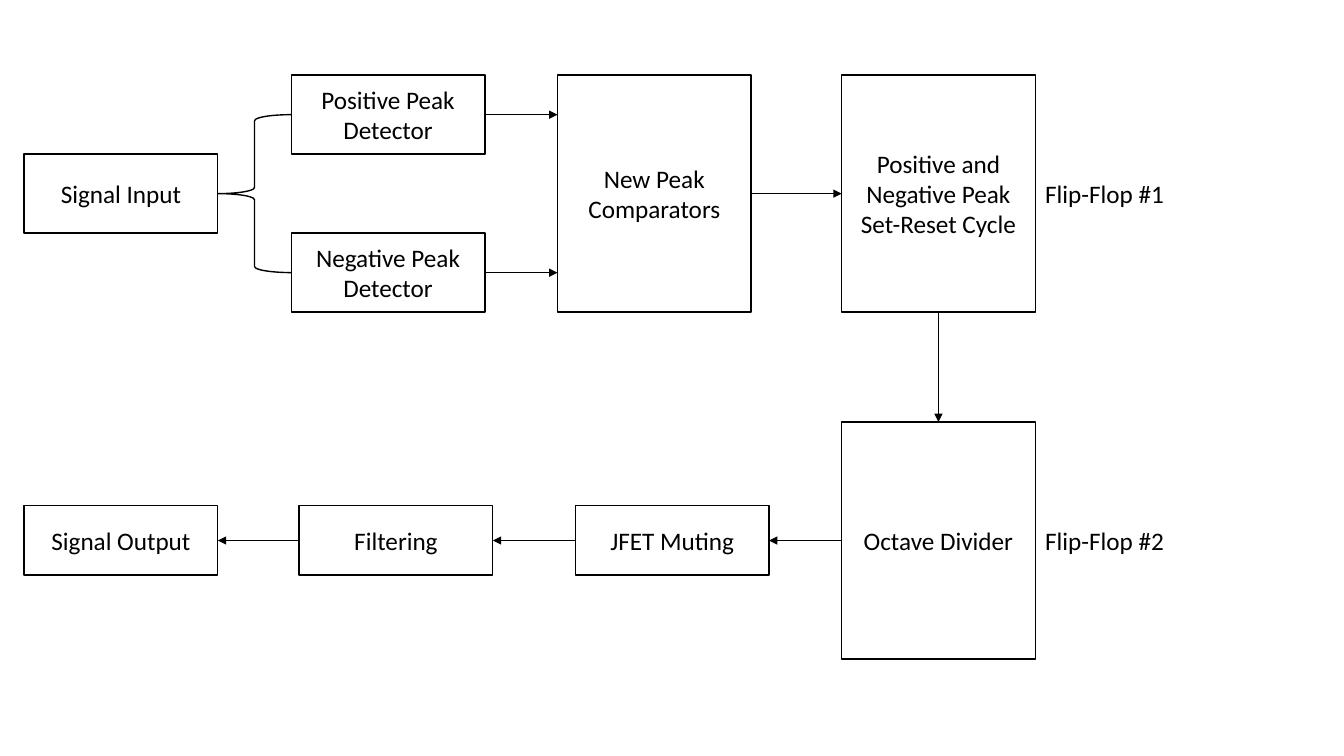
"""Draw the block diagram of an octave divider signal chain."""
from typing import NamedTuple

from lxml import etree
from pptx import Presentation
from pptx import util as u
from pptx.dml.color import RGBColor
from pptx.enum import shapes, text
from pptx.oxml import ns
from pptx.shapes.autoshape import Shape
from pptx.slide import Slide

BLACK = RGBColor(0, 0, 0)
FONT = "Calibri"
STAGE_WIDTH = 4.88
DETECTOR_HEIGHT = 1.99
FLIP_FLOP_HEIGHT = 3 * DETECTOR_HEIGHT
OUTPUT_HEIGHT = 1.75
LABEL_WIDTH, LABEL_HEIGHT = 4.01, 1.03
INPUT_Y, OUTPUT_Y = 4.88, 13.62
POSITIVE_Y, NEGATIVE_Y = INPUT_Y - DETECTOR_HEIGHT, INPUT_Y + DETECTOR_HEIGHT


class Stage(NamedTuple):
    """A block of the chain, in centimetres, placed by its left edge and middle height."""
    caption: str
    left: float
    middle: float
    height: float

    @property
    def right(self) -> float:
        """Return the right edge."""
        return self.left + STAGE_WIDTH

    @property
    def center(self) -> float:
        """Return the horizontal centre."""
        return self.left + STAGE_WIDTH / 2

    @property
    def top(self) -> float:
        """Return the top edge."""
        return self.middle - self.height / 2

    @property
    def bottom(self) -> float:
        """Return the bottom edge."""
        return self.middle + self.height / 2


class Flow(NamedTuple):
    """An arrow between two points, in centimetres."""
    begin: tuple[float, float]
    end: tuple[float, float]


SIGNAL_INPUT = Stage("Signal Input", 0.61, INPUT_Y, DETECTOR_HEIGHT)
POSITIVE = Stage("Positive Peak Detector", 7.34, POSITIVE_Y, DETECTOR_HEIGHT)
NEGATIVE = Stage("Negative Peak Detector", 7.34, NEGATIVE_Y, DETECTOR_HEIGHT)
COMPARATORS = Stage("New Peak Comparators", 14.05, INPUT_Y, FLIP_FLOP_HEIGHT)
SET_RESET = Stage("Positive and Negative Peak Set-Reset Cycle", 21.21, INPUT_Y, FLIP_FLOP_HEIGHT)
DIVIDER = Stage("Octave Divider", 21.21, OUTPUT_Y, FLIP_FLOP_HEIGHT)
MUTING = Stage("JFET Muting", 14.5, OUTPUT_Y, OUTPUT_HEIGHT)
FILTERING = Stage("Filtering", 7.54, OUTPUT_Y, OUTPUT_HEIGHT)
SIGNAL_OUTPUT = Stage("Signal Output", 0.61, OUTPUT_Y, OUTPUT_HEIGHT)

STAGES = (SIGNAL_INPUT, POSITIVE, NEGATIVE, COMPARATORS, SET_RESET,
          DIVIDER, MUTING, FILTERING, SIGNAL_OUTPUT)
FORWARD = ((POSITIVE, COMPARATORS), (NEGATIVE, COMPARATORS), (COMPARATORS, SET_RESET))
BACKWARD = ((DIVIDER, MUTING), (MUTING, FILTERING), (FILTERING, SIGNAL_OUTPUT))
FLOWS = (
    *(Flow((a.right, a.middle), (b.left, a.middle)) for a, b in FORWARD),
    Flow((SET_RESET.center, SET_RESET.bottom), (DIVIDER.center, DIVIDER.top)),
    *(Flow((a.left, a.middle), (b.right, a.middle)) for a, b in BACKWARD),
)
FLIP_FLOPS = (("Flip-Flop #1", SET_RESET), ("Flip-Flop #2", DIVIDER))


def write(holder: Shape, words: str, alignment: text.PP_ALIGN) -> None:
    """Put one black paragraph into a shape."""
    frame = holder.text_frame
    frame.word_wrap = True
    paragraph = frame.paragraphs[0]
    paragraph.text = words
    paragraph.alignment = alignment
    paragraph.font.name = FONT
    paragraph.font.size = u.Pt(18)
    paragraph.font.color.rgb = BLACK


def draw_outline(slide: Slide, preset: shapes.MSO_SHAPE, left: float, top: float,
                 width: float, height: float) -> Shape:
    """Add an unfilled preset shape with a thin black line."""
    outline = slide.shapes.add_shape(preset, u.Cm(left), u.Cm(top), u.Cm(width), u.Cm(height))
    outline.shadow.inherit = False
    outline.fill.background()
    outline.line.color.rgb = BLACK
    outline.line.width = u.Pt(1)
    return outline


def draw_stage(slide: Slide, stage: Stage) -> None:
    """Add a captioned block."""
    block = draw_outline(slide, shapes.MSO_SHAPE.RECTANGLE, stage.left, stage.top,
                         STAGE_WIDTH, stage.height)
    write(block, stage.caption, text.PP_ALIGN.CENTER)


def draw_flow(slide: Slide, flow: Flow) -> None:
    """Add an arrow."""
    arrow = slide.shapes.add_connector(shapes.MSO_CONNECTOR.STRAIGHT,
                                       *map(u.Cm, flow.begin + flow.end))
    arrow.line.color.rgb = BLACK
    arrow.line.width = u.Pt(0.5)
    etree.SubElement(arrow.line._get_or_add_ln(), ns.qn("a:tailEnd"), type="triangle")
    etree.SubElement(arrow._element.spPr, ns.qn("a:effectLst"))


def draw_label(slide: Slide, words: str, stage: Stage) -> None:
    """Add a label to the right of a block."""
    label = slide.shapes.add_textbox(u.Cm(stage.right), u.Cm(stage.middle - LABEL_HEIGHT / 2),
                                     u.Cm(LABEL_WIDTH), u.Cm(LABEL_HEIGHT))
    write(label, words, text.PP_ALIGN.LEFT)
    label.text_frame.auto_size = text.MSO_AUTO_SIZE.SHAPE_TO_FIT_TEXT


def main() -> None:
    """Build and save the slide."""
    deck = Presentation()
    deck.slide_width, deck.slide_height = u.Cm(33.87), u.Cm(19.05)
    slide = deck.slides.add_slide(deck.slide_layouts[6])
    for stage in STAGES:
        draw_stage(slide, stage)
    draw_outline(slide, shapes.MSO_SHAPE.LEFT_BRACE, SIGNAL_INPUT.right, POSITIVE.middle,
                 POSITIVE.left - SIGNAL_INPUT.right, NEGATIVE.middle - POSITIVE.middle)
    for flow in FLOWS:
        draw_flow(slide, flow)
    for words, stage in FLIP_FLOPS:
        draw_label(slide, words, stage)
    deck.save("out.pptx")


if __name__ == "__main__":
    main()
